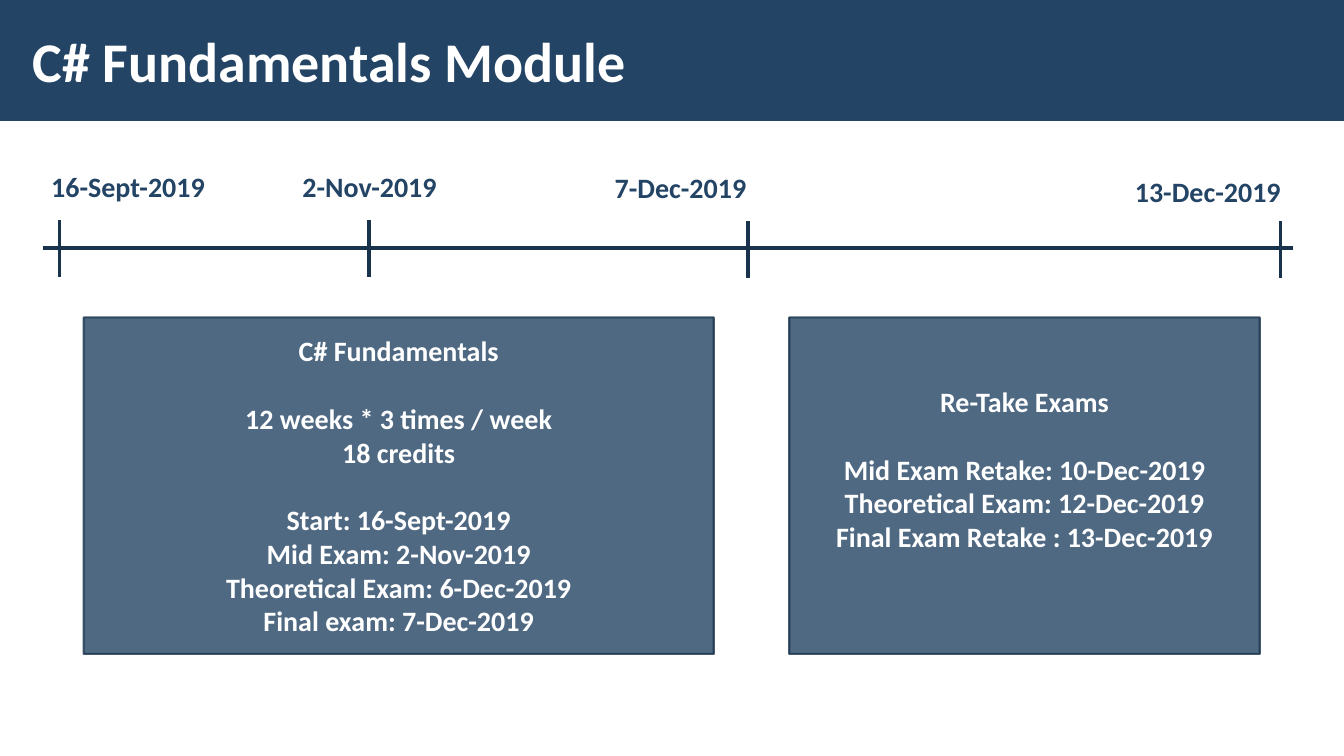
import pptx
import pptx.dml.color
import pptx.enum.shapes
import pptx.enum.text
import pptx.oxml.ns
import pptx.util
from lxml import etree
from pptx.util import Cm

NAVY = "234465"
DARK = "1A334C"
WHITE = "FFFFFF"
LINE_HEIGHT = 24.4
MILESTONES = [
    ("16-Sept-2019", 0.41, 1.04, 4.44, 0),
    ("2-Nov-2019", 8.21, 7.37, 3.94, 0),
    ("7-Dec-2019", 17.76, 15.24, 3.86, 0.03),
    ("13-Dec-2019", 31.17, 28.35, 4.22, 0.13),
]
COURSE = [
    ["C# Fundamentals"],
    ["12 weeks * 3 times / week", "18 credits"],
    ["Start: 16-Sept-2019", "Mid Exam: 2-Nov-2019",
     "Theoretical Exam: 6-Dec-2019", "Final exam: 7-Dec-2019"],
]
RETAKES = [
    ["Re-Take Exams"],
    ["Mid Exam Retake: 10-Dec-2019", "Тheoretical Exam: 12-Dec-2019",
     "Final Exam Retake : 13-Dec-2019"],
]


def color(value):
    """Turn a hex string into a colour."""
    return pptx.dml.color.RGBColor.from_string(value)


def add_text(paragraph, text, size, value):
    """Add a bold Calibri run to a paragraph."""
    run = paragraph.add_run()
    run.text = text
    run.font.name = "Calibri"
    run.font.size = pptx.util.Pt(size)
    run.font.bold = True
    run.font.color.rgb = color(value)


def add_rectangle(slide, left, top, width, height, fill):
    """Add a filled rectangle without shadow or outline."""
    shape = slide.shapes.add_shape(
        pptx.enum.shapes.MSO_SHAPE.RECTANGLE, Cm(left), Cm(top), Cm(width), Cm(height))
    shape.shadow.inherit = False
    shape.fill.solid()
    shape.fill.fore_color.rgb = color(fill)
    shape.line.fill.background()
    return shape


def add_line(slide, start_x, start_y, end_x, end_y):
    """Add a plain dark line."""
    line = slide.shapes.add_connector(
        pptx.enum.shapes.MSO_CONNECTOR.STRAIGHT,
        Cm(start_x), Cm(start_y), Cm(end_x), Cm(end_y))
    line.line.color.rgb = color(DARK)
    line.line.width = pptx.util.Pt(2.25)
    etree.SubElement(line.element.spPr, pptx.oxml.ns.qn("a:effectLst"))


def add_header(slide, left, top, width, height):
    """Place the band and the slide title on it."""
    band = add_rectangle(slide, left, top, width, height, NAVY)
    title = slide.shapes.title
    title.element.addprevious(band.element)
    title.left, title.top = Cm(left + 0.53), Cm(top + 0.28)
    title.width, title.height = Cm(26.39), Cm(height - 0.58)
    frame = title.text_frame
    frame.auto_size = pptx.enum.text.MSO_AUTO_SIZE.NONE
    frame.vertical_anchor = pptx.enum.text.MSO_ANCHOR.MIDDLE
    frame.margin_left = frame.margin_right = Cm(0.3)
    frame.margin_top = frame.margin_bottom = Cm(0.1)
    paragraph = frame.paragraphs[0]
    paragraph.alignment = pptx.enum.text.PP_ALIGN.LEFT
    add_text(paragraph, "C# Fundamentals Module", 40, WHITE)


def add_timeline(slide, left, top, width, height):
    """Draw the time axis with a tick and a date for each milestone."""
    axis = top + 2.11
    add_line(slide, left, axis, left + width, axis)
    for date, offset, label_left, label_width, drop in MILESTONES:
        tick = left + offset
        tick_drop = min(drop, 0.03)
        add_line(slide, tick, top + 1.4 + tick_drop, tick, top + height + tick_drop)
        label = slide.shapes.add_textbox(
            Cm(label_left), Cm(top + drop), Cm(label_width), Cm(1.11))
        label.text_frame.word_wrap = False
        label.text_frame.auto_size = pptx.enum.text.MSO_AUTO_SIZE.SHAPE_TO_FIT_TEXT
        add_text(label.text_frame.paragraphs[0], date, 20, NAVY)


def add_card(slide, left, top, width, height, groups, bottom_margin=0.13):
    """Add a translucent card whose groups of lines stand one line apart."""
    card = add_rectangle(slide, left, top, width, height, NAVY)
    card.line.color.rgb = color(DARK)
    card.line.width = pptx.util.Pt(1.5)
    for solid in card.element.spPr.iter(pptx.oxml.ns.qn("a:srgbClr")):
        etree.SubElement(solid, pptx.oxml.ns.qn("a:alpha"), val="80000")
    frame = card.text_frame
    frame.word_wrap = True
    frame.vertical_anchor = pptx.enum.text.MSO_ANCHOR.MIDDLE
    frame.margin_bottom = Cm(bottom_margin)
    for group_index, group in enumerate(groups):
        for line_index, text in enumerate(group):
            first = group_index == 0 and line_index == 0
            paragraph = frame.paragraphs[0] if first else frame.add_paragraph()
            paragraph.alignment = pptx.enum.text.PP_ALIGN.CENTER
            if group_index and line_index == 0:
                paragraph.space_before = pptx.util.Pt(LINE_HEIGHT)
            add_text(paragraph, text, 20, WHITE)


def main():
    """Build and save the slide."""
    presentation = pptx.Presentation()
    presentation.slide_width = Cm(33.87)
    presentation.slide_height = Cm(19.05)
    slide = presentation.slides.add_slide(presentation.slide_layouts[5])
    add_header(slide, 0, 0, 33.87, 3.05)
    add_timeline(slide, 1.09, 4.14, 31.5, 2.83)
    add_card(slide, 2.11, 8, 15.88, 8.48, COURSE)
    add_card(slide, 19.89, 8, 11.86, 8.48, RETAKES, bottom_margin=0.99)
    presentation.save("out.pptx")


if __name__ == "__main__":
    main()
